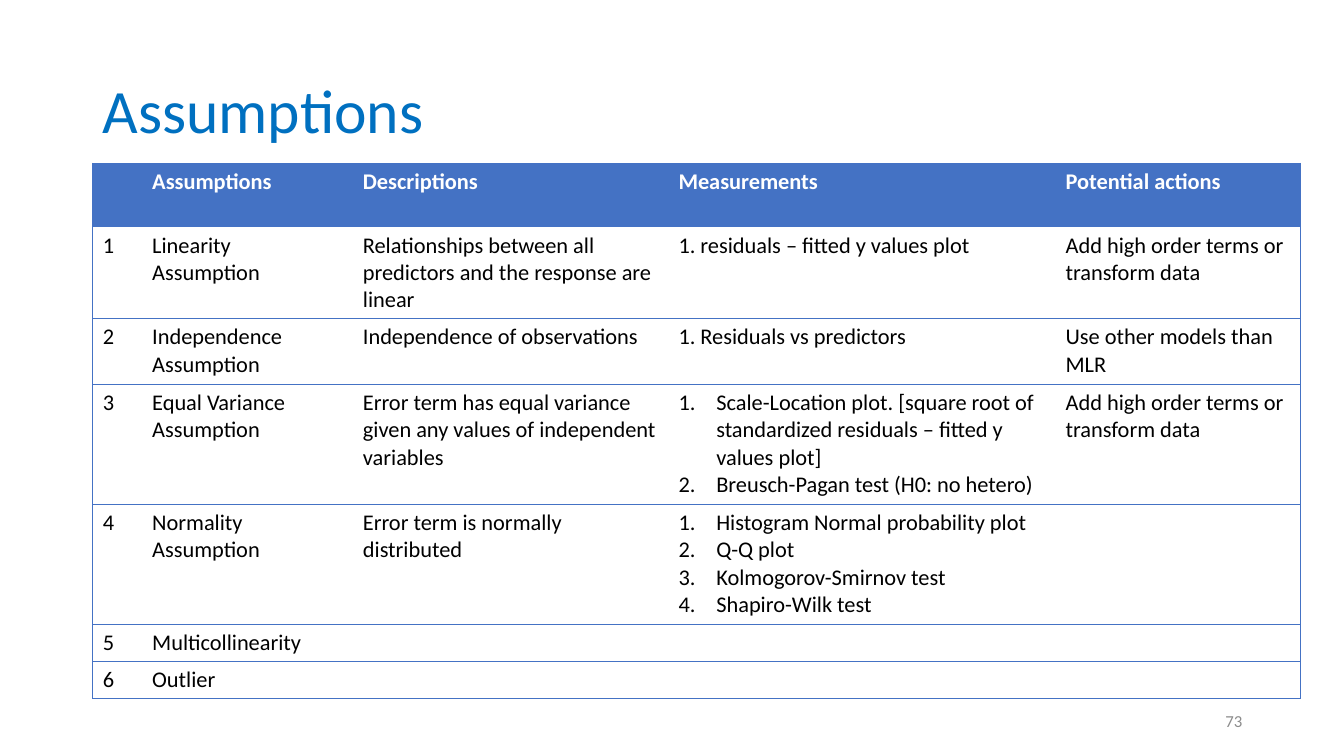
import pptx
import pptx.util
import pptx.dml.color
import pptx.enum.text
import pptx.oxml.ns
from lxml import etree

Inches = pptx.util.Inches
Pt = pptx.util.Pt
PP_ALIGN = pptx.enum.text.PP_ALIGN
MSO_ANCHOR = pptx.enum.text.MSO_ANCHOR
qn = pptx.oxml.ns.qn

COLORS = {"title": "0070C0", "accent": "4472C4", "header": "FFFFFF",
          "body": "000000", "number": "8C8C8C"}
COL_WIDTHS = [0.49, 2.09, 3.13, 3.84, 2.43]
ROW_HEIGHTS = [0.63, 0.91, 0.65, 1.19, 1.19, 0.37, 0.37]
ROWS = [
    ["", "Assumptions", "Descriptions", "Measurements", "Potential actions"],
    ["1", "Linearity Assumption",
     "Relationships between all predictors and the response are linear",
     "1. residuals – fitted y values plot",
     "Add high order terms or transform data"],
    ["2", "Independence Assumption", "Independence of observations",
     "1. Residuals vs predictors", "Use other models than MLR"],
    ["3", "Equal Variance Assumption",
     "Error term has equal variance given any values of independent variables",
     ["Scale-Location plot. [square root of standardized residuals – fitted y values plot]",
      "Breusch-Pagan test (H0: no hetero)"],
     "Add high order terms or transform data"],
    ["4", "Normality Assumption", "Error term is normally distributed",
     ["Histogram Normal probability plot", "Q-Q plot",
      "Kolmogorov-Smirnov test", "Shapiro-Wilk test"], ""],
    ["5", "Multicollinearity", "", "", ""],
    ["6", "Outlier", "", "", ""],
]


class SlideBuilder:
    def __init__(self, slide, font="Calibri"):
        self.slide = slide
        self.font = font

    def run(self, p, text, size, color, bold=False):
        r = p.add_run()
        r.text = text
        r.font.name = self.font
        r.font.size = Pt(size)
        r.font.bold = bold
        r.font.color.rgb = pptx.dml.color.RGBColor.from_string(COLORS[color])

    def text(self, box, text, size, color, align=PP_ALIGN.LEFT, spacing=1.0):
        sp = self.slide.shapes.add_textbox(*[Inches(v) for v in box])
        tf = sp.text_frame
        tf.word_wrap = True
        tf.vertical_anchor = MSO_ANCHOR.MIDDLE
        p = tf.paragraphs[0]
        p.alignment = align
        p.line_spacing = spacing
        self.run(p, text, size, color)

    def number(self, p):
        pPr = p._p.get_or_add_pPr()
        pPr.set("marL", str(Inches(0.375)))
        pPr.set("indent", str(-Inches(0.375)))
        etree.SubElement(pPr, qn("a:buFont"), typeface="+mj-lt")
        etree.SubElement(pPr, qn("a:buAutoNum"), type="arabicPeriod")

    def borders(self, cell, visible):
        tcPr = cell._tc.get_or_add_tcPr()
        for side in "LRTB":
            ln = etree.SubElement(tcPr, qn("a:ln" + side), w=str(Pt(0.5)))
            if side in visible:
                fill = etree.SubElement(ln, qn("a:solidFill"))
                etree.SubElement(fill, qn("a:srgbClr"), val=COLORS["accent"])
            else:
                etree.SubElement(ln, qn("a:noFill"))

    def cell(self, cell, content, size, header):
        tf = cell.text_frame
        numbered = isinstance(content, list)
        for i, line in enumerate(content if numbered else [content]):
            p = tf.add_paragraph() if i else tf.paragraphs[0]
            if numbered:
                self.number(p)
            if line:
                self.run(p, line, size, "header" if header else "body", header)
            else:
                etree.SubElement(p._p, qn("a:endParaRPr"), sz=str(size * 100))
        if header:
            cell.fill.solid()
            cell.fill.fore_color.rgb = pptx.dml.color.RGBColor.from_string(COLORS["accent"])
        else:
            cell.fill.background()

    def table(self, left, top, rows, widths, heights, size):
        frame = self.slide.shapes.add_table(
            len(rows), len(widths), Inches(left), Inches(top),
            Inches(sum(widths)), Inches(sum(heights)))
        table = frame.table
        table.first_row = False
        table.horz_banding = False
        for column, width in zip(table.columns, widths):
            column.width = Inches(width)
        for row, height in zip(table.rows, heights):
            row.height = Inches(height)
        last = len(widths) - 1
        for i, row in enumerate(rows):
            for j, content in enumerate(row):
                cell = table.cell(i, j)
                sides = "TB" + ("L" if j == 0 else "") + ("R" if j == last else "")
                self.borders(cell, sides)
                self.cell(cell, content, size, i == 0)


def main():
    prs = pptx.Presentation()
    prs.slide_width = Inches(13.33)
    prs.slide_height = Inches(7.5)
    s = SlideBuilder(prs.slides.add_slide(prs.slide_layouts[6]))
    s.text((0.92, 0.4, 11.5, 1.45), "Assumptions", 44, "title", spacing=0.9)
    s.table(0.92, 1.62, ROWS, COL_WIDTHS, ROW_HEIGHTS, 16)
    s.text((9.42, 6.95, 3, 0.4), "73", 12, "number", PP_ALIGN.RIGHT)
    prs.save("out.pptx")


if __name__ == "__main__":
    main()
